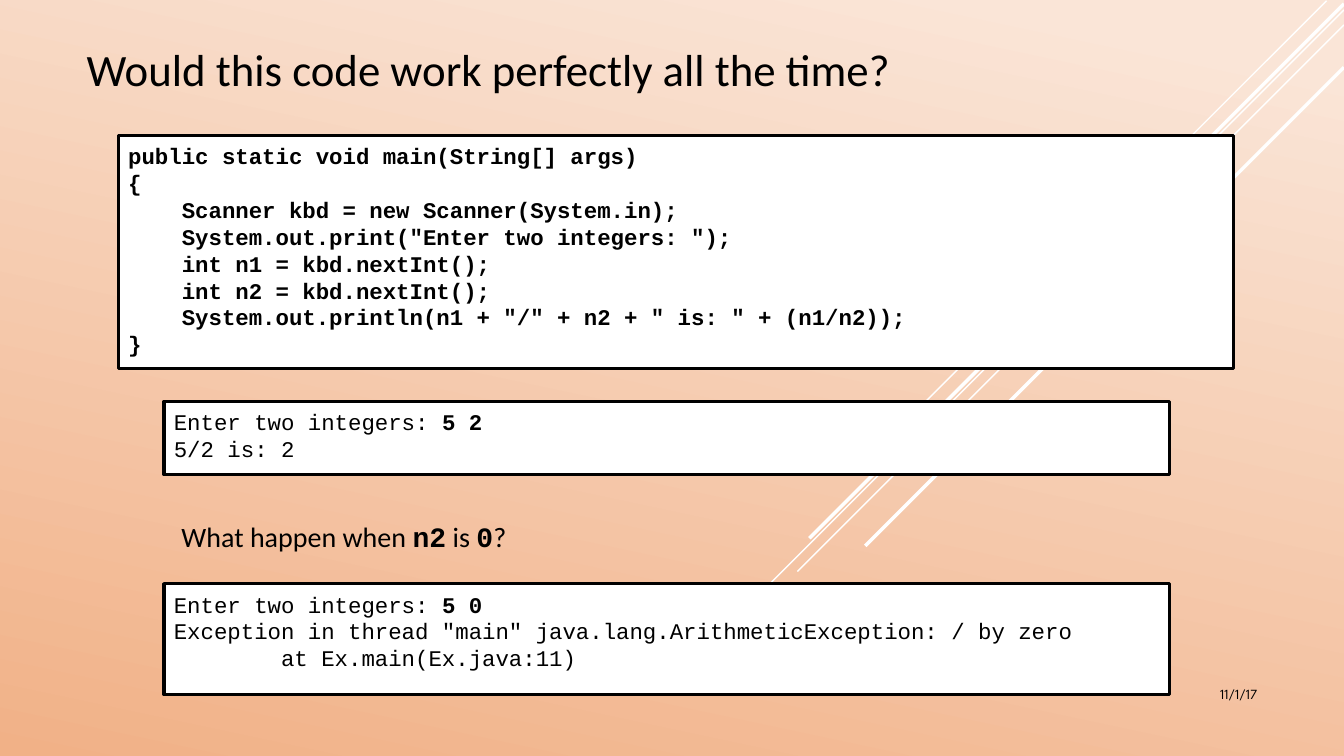
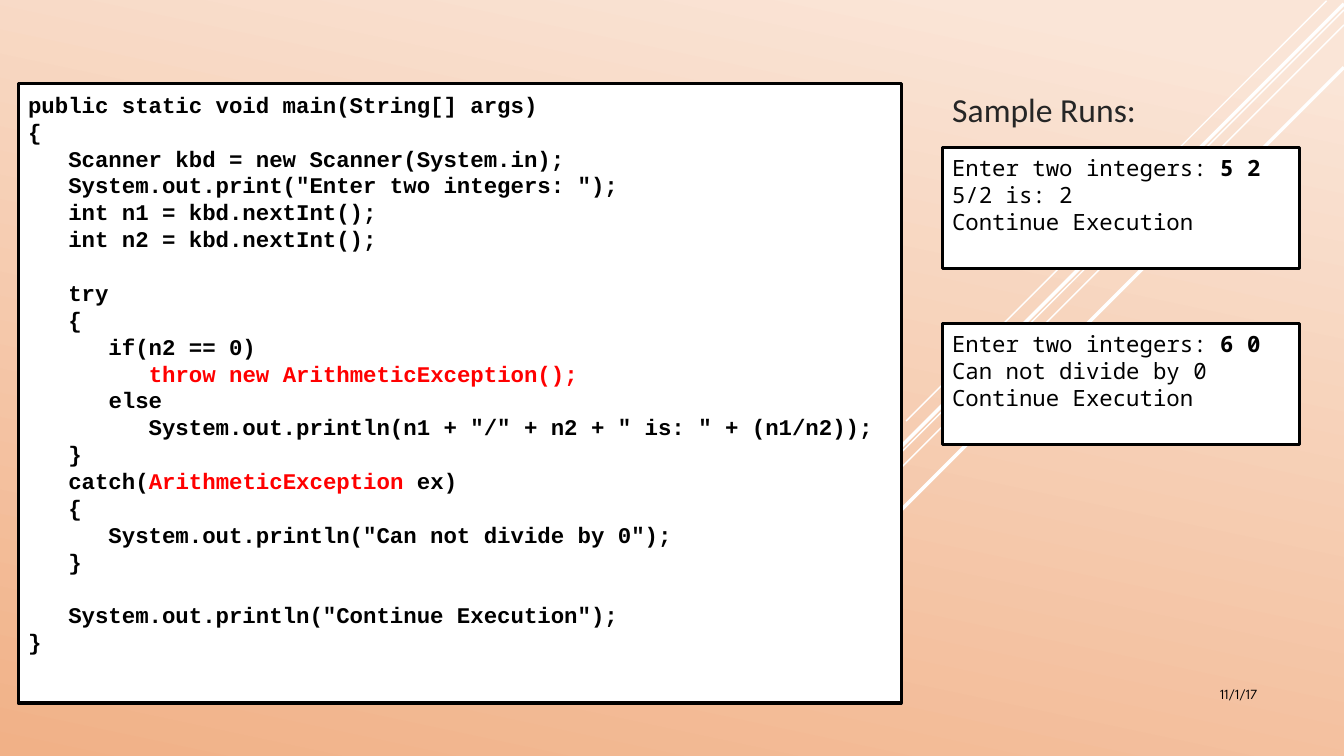
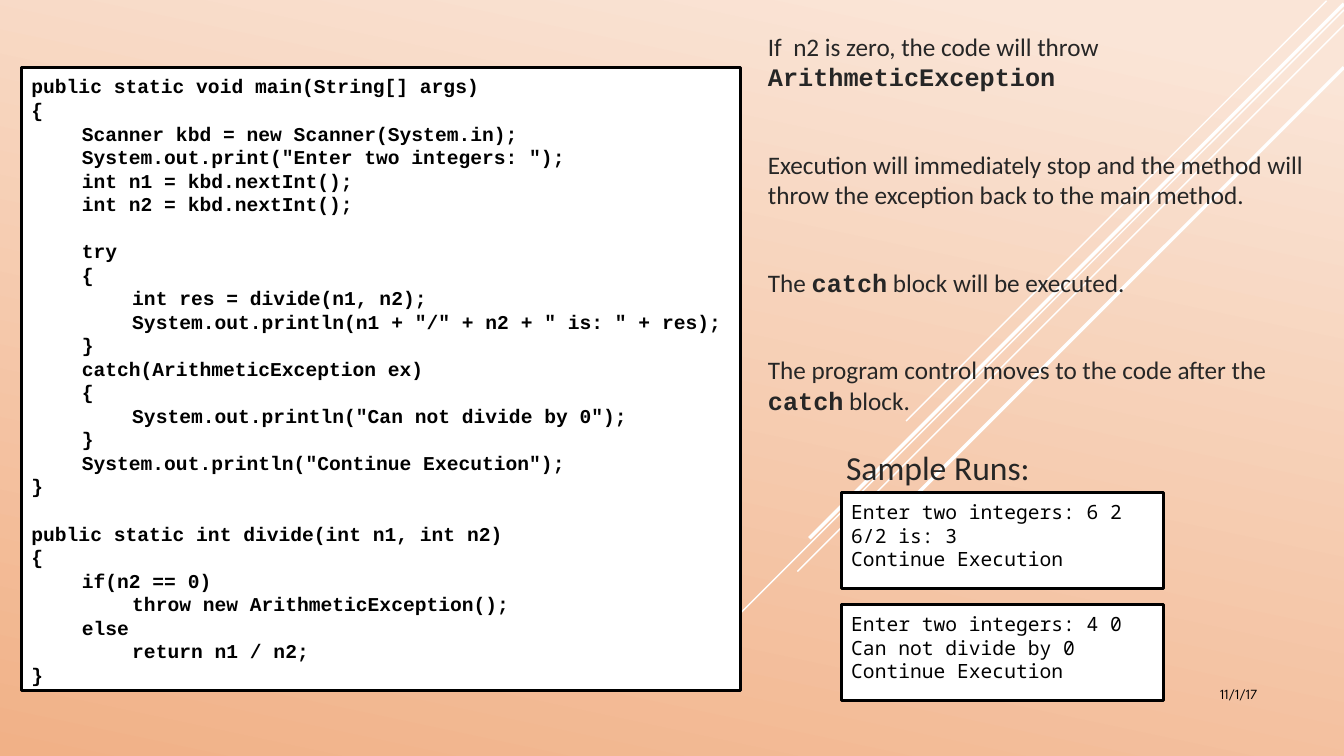
import dataclasses

import lxml.etree
import pptx
import pptx.dml.color
import pptx.enum.shapes
import pptx.enum.text
import pptx.oxml.ns
import pptx.util

WIDTH, HEIGHT = 13.33, 7.5
BLACK, WHITE, RED, CHARCOAL = "000000", "FFFFFF", "FF0000", "262626"
PEACH_LIGHT, PEACH_DARK = "FAE5D7", "F1B187"
ALIGN = pptx.enum.text.PP_ALIGN
ANCHOR = pptx.enum.text.MSO_ANCHOR

RAYS = [
    (98.7, 0.1, 55.6, 1),
    (100, 1.3, 88.7, 1),
    (100, 3.3, 72.3, 1),
    (100, 0.5, 70.7, 2.5),
    (100, 8.9, 63.3, 2.5),
]

UNGUARDED_CODE = """public static void main(String[] args)
{
    Scanner kbd = new Scanner(System.in);
    System.out.print("Enter two integers: ");
    int n1 = kbd.nextInt();
    int n2 = kbd.nextInt();
    System.out.println(n1 + "/" + n2 + " is: " + (n1/n2));
}"""

TRY_CODE_START = """public static void main(String[] args)
{
   Scanner kbd = new Scanner(System.in);
   System.out.print("Enter two integers: ");
   int n1 = kbd.nextInt();
   int n2 = kbd.nextInt();

   try
   {
      if(n2 == 0)
         """

TRY_CODE_MIDDLE = """else
         System.out.println(n1 + "/" + n2 + " is: " + (n1/n2));
   }
   catch("""

TRY_CODE_END = """ex)
   {
      System.out.println("Can not divide by 0");
   }

   System.out.println("Continue Execution");
}"""

DIVIDE_CODE = """public static void main(String[] args)
{
	Scanner kbd = new Scanner(System.in);
	System.out.print("Enter two integers: ");
	int n1 = kbd.nextInt();
	int n2 = kbd.nextInt();

	try
	{
		int res = divide(n1, n2);
		System.out.println(n1 + "/" + n2 + " is: " + res);
	}
	catch(ArithmeticException ex)
	{
		System.out.println("Can not divide by 0");
	}
	System.out.println("Continue Execution");
}

public static int divide(int n1, int n2)
{
	if(n2 == 0)
		throw new ArithmeticException();
	else
		return n1 / n2;
}"""


@dataclasses.dataclass(frozen=True)
class Style:
    font: str
    size: float
    color: str = BLACK
    bold: bool = False

    def but(self, **changes):
        return dataclasses.replace(self, **changes)


TITLE = Style("Calibri", 32)
DATE = Style("League Spartan", 10)
QUESTION = Style("Calibri", 20)
LABEL = Style("Calibri", 24, CHARCOAL)
EXPLANATION = Style("Calibri", 18, CHARCOAL)
CODE = Style("Courier New", 16, bold=True)
CONSOLE = Style("Courier New", 16)
SAMPLE = Style("Noto Sans Mono", 16)


def rgb(hex_color):
    return pptx.dml.color.RGBColor.from_string(hex_color)


def across(percent):
    return pptx.util.Inches(WIDTH * percent / 100)


def down(percent):
    return pptx.util.Inches(HEIGHT * percent / 100)


def area(left, top, width, height):
    return across(left), down(top), across(width), down(height)


def keyword(text, style):
    return text, style.but(font="Courier New", bold=True)


def write(paragraph, runs, base):
    for part in runs:
        text, style = (part, base) if isinstance(part, str) else part
        for number, line in enumerate(text.split("\n")):
            if number:
                paragraph.add_line_break()
            if line:
                run = paragraph.add_run()
                run.text = line
                run.font.name = style.font
                run.font.size = pptx.util.Pt(style.size)
                run.font.bold = style.bold
                run.font.color.rgb = rgb(style.color)


def set_tabs(paragraph, *stops):
    tag = pptx.oxml.ns.qn
    tabs = lxml.etree.SubElement(paragraph._p.get_or_add_pPr(), tag("a:tabLst"))
    for stop in stops:
        lxml.etree.SubElement(
            tabs, tag("a:tab"), pos=str(int(pptx.util.Inches(stop))), algn="l")


def prepare(frame, anchor=ANCHOR.TOP):
    frame.word_wrap = True
    frame.auto_size = pptx.enum.text.MSO_AUTO_SIZE.NONE
    frame.vertical_anchor = anchor
    return frame.paragraphs[0]


def fill_placeholder(placeholder, place, runs, style,
                     align=ALIGN.LEFT, anchor=ANCHOR.TOP):
    placeholder.left, placeholder.top, placeholder.width, placeholder.height = place
    paragraph = prepare(placeholder.text_frame, anchor)
    paragraph.alignment = align
    paragraph.space_before = pptx.util.Pt(0)
    write(paragraph, runs, style)


def add_text(slide, place, paragraphs, style, align=ALIGN.LEFT, gap=0):
    frame = slide.shapes.add_textbox(*place).text_frame
    paragraph = prepare(frame)
    for number, runs in enumerate(paragraphs):
        if number:
            paragraph = frame.add_paragraph()
            paragraph.space_before = pptx.util.Pt(gap)
        paragraph.alignment = align
        write(paragraph, runs, style)


def add_listing(slide, place, runs, style, tabs=()):
    panel = slide.shapes.add_shape(
        pptx.enum.shapes.MSO_SHAPE.RECTANGLE, *place)
    panel.shadow.inherit = False
    panel.fill.solid()
    panel.fill.fore_color.rgb = rgb(WHITE)
    panel.line.color.rgb = rgb(BLACK)
    panel.line.width = pptx.util.Pt(2.25)
    panel.text_frame.margin_top = pptx.util.Inches(0.07)
    paragraph = prepare(panel.text_frame)
    paragraph.alignment = ALIGN.LEFT
    paragraph.line_spacing = pptx.util.Pt(style.size * 1.2)
    if tabs:
        set_tabs(paragraph, *tabs)
    write(paragraph, runs, style)


def add_ray(slide, x, y, reach, weight):
    ray = slide.shapes.add_connector(
        pptx.enum.shapes.MSO_CONNECTOR.STRAIGHT, across(x), down(y),
        across(x) - down(reach), down(y + reach))
    ray.line.color.rgb = rgb(WHITE)
    ray.line.width = pptx.util.Pt(weight)
    lxml.etree.SubElement(
        ray._element.spPr, pptx.oxml.ns.qn("a:effectLst"))
    return ray


def decorate_master(deck, slide):
    master = deck.slide_master
    fill = master.background.fill
    fill.gradient()
    fill.gradient_angle = 360 - 102
    stops = [(0.07, PEACH_LIGHT), (1, PEACH_DARK)]
    for stop, (position, color) in zip(fill.gradient_stops, stops):
        stop.position = position
        stop.color.rgb = rgb(color)
    for ray in RAYS:
        master.shapes.element.append(add_ray(slide, *ray)._element)


def add_slide(deck, titled=False):
    slide = deck.slides.add_slide(deck.slide_layouts[0])
    if not titled:
        title = slide.shapes.title._element
        title.getparent().remove(title)
    add_text(slide, area(81.2, 90, 13.1, 5.3), [["11/1/17"]], DATE, ALIGN.RIGHT)
    return slide


def add_label(slide, left, top):
    fill_placeholder(slide.placeholders[1], area(left, top, 15.8, 8.7),
                     ["Sample Runs:"], LABEL)


def build_question(deck):
    slide = add_slide(deck, titled=True)
    decorate_master(deck, slide)
    fill_placeholder(slide.shapes.title, area(5.7, -0.4, 65.6, 13.7),
                     ["Would this code work perfectly all the time?"],
                     TITLE, anchor=ANCHOR.BOTTOM)
    add_listing(slide, area(8.8, 17.9, 83, 30.9), [UNGUARDED_CODE], CODE)
    outputs = [
        (53.1, 9.7, "5 2", "5/2 is: 2"),
        (77.2, 14.7, "5 0",
         'Exception in thread "main" java.lang.ArithmeticException: / by zero\n'
         "        at Ex.main(Ex.java:11)"),
    ]
    for top, height, typed, answer in outputs:
        add_listing(slide, area(12.2, top, 74.8, height),
                    ["Enter two integers: ", keyword(typed, CONSOLE), "\n" + answer],
                    CONSOLE)
    fill_placeholder(slide.placeholders[1], area(12.75, 68.1, 72.1, 7.9),
                     ["What happen when ", keyword("n2", QUESTION), " is ",
                      keyword("0", QUESTION), "?"], QUESTION, ALIGN.JUSTIFY)


def build_try_catch(deck):
    slide = add_slide(deck)
    highlight = CODE.but(color=RED)
    add_listing(slide, area(1.35, 11.1, 65.7, 81.9),
                [TRY_CODE_START,
                 ("throw new ArithmeticException();\n      ", highlight),
                 TRY_CODE_MIDDLE, ("ArithmeticException ", highlight),
                 TRY_CODE_END], CODE)
    samples = [(19.5, "5 2", "5/2 is: 2"), (42.8, "6 0", "Can not divide by 0")]
    for top, typed, answer in samples:
        add_listing(slide, area(70.1, top, 26.6, 16),
                    ["Enter two integers: ", (typed, SAMPLE.but(bold=True)),
                     f"\n{answer}\nContinue Execution"], SAMPLE)
    add_label(slide, 70.1, 11.1)


def build_method_call(deck):
    slide = add_slide(deck)
    add_listing(slide, area(1.6, 8.9, 53.5, 82.4), [DIVIDE_CODE],
                CODE.but(size=14), tabs=(0.5, 1))
    catch = keyword("catch", EXPLANATION)
    add_text(slide, area(56.4, 3.5, 42.2, 54.9), [
        ["If  n2 is zero, the code will throw ",
         keyword("ArithmeticException", EXPLANATION)],
        ["Execution will immediately stop and the method will throw "
         "the exception back to the main method."],
        ["The ", catch, " block will be executed."],
        ["The program control moves to the code after the ", catch, " block."],
    ], EXPLANATION, gap=41)
    samples = [(65.2, "6 2", "6/2 is: 3"), (80, "4 0", "Can not divide by 0")]
    for top, typed, answer in samples:
        add_listing(slide, area(62.6, top, 24, 12.7),
                    [f"Enter two integers: {typed}\n{answer}\nContinue Execution"],
                    SAMPLE.but(size=14))
    add_label(slide, 62.2, 58.5)


def main():
    deck = pptx.Presentation()
    deck.slide_width = pptx.util.Inches(WIDTH)
    deck.slide_height = pptx.util.Inches(HEIGHT)
    build_question(deck)
    build_try_catch(deck)
    build_method_call(deck)
    deck.save("out.pptx")


if __name__ == "__main__":
    main()
